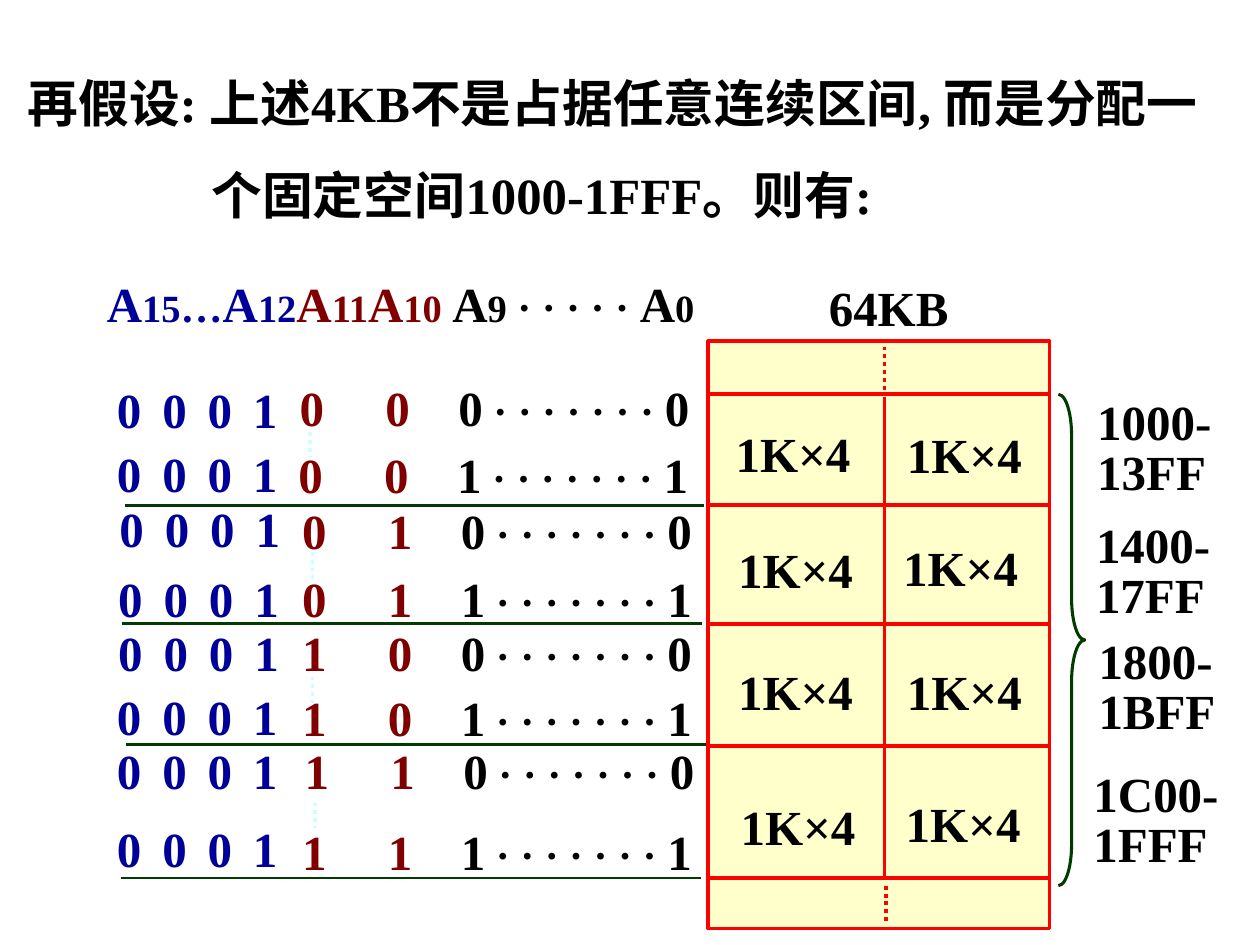
from dataclasses import dataclass
from typing import Optional

from lxml import etree
from pptx import Presentation
from pptx.dml.color import RGBColor
from pptx.enum.dml import MSO_LINE
from pptx.enum.shapes import MSO_CONNECTOR, MSO_SHAPE
from pptx.enum.text import MSO_AUTO_SIZE
from pptx.oxml.ns import qn
from pptx.util import Inches, Pt

STRAIGHT = MSO_CONNECTOR.STRAIGHT
DOTTED = MSO_LINE.ROUND_DOT
RECT = MSO_SHAPE.RECTANGLE
BRACE = MSO_SHAPE.RIGHT_BRACE
FIT = MSO_AUTO_SIZE.SHAPE_TO_FIT_TEXT

COLORS = {
    "black": "000000",
    "blue": "000099",
    "maroon": "800000",
    "red": "FF0000",
    "cream": "FFFFCC",
    "green": "003C00",
    "cyan": "CCFFFF",
}
FORMAT = {"name": "Times New Roman", "bold": True}
BIG, MID, SUB = 28, 24, 22
HIGH = 0.57
DOTS = " · · · · · · · "


@dataclass
class Run:
    text: str
    color: str = "black"
    size: float = BIG


@dataclass
class Label:
    left: float
    top: float
    width: float
    runs: list[Run]
    height: float = HIGH
    spacing: Optional[float] = None
    hang: float = 0
    tabs: tuple[float, ...] = ()


@dataclass
class Rule:
    start: tuple[float, float]
    end: tuple[float, float]
    color: str
    width: float = 2.25
    dotted: bool = False


@dataclass
class Row:
    blue: tuple[float, float]
    red: tuple[float, float]
    chip: str
    fill: str


def rgb(key: str) -> RGBColor:
    return RGBColor.from_string(COLORS[key])


def draw_label(slide, label: Label) -> None:
    box = slide.shapes.add_textbox(
        Inches(label.left), Inches(label.top), Inches(label.width), Inches(label.height)
    )
    frame = box.text_frame
    frame.word_wrap = True
    frame.auto_size = FIT
    para = frame.paragraphs[0]
    if label.spacing:
        para.line_spacing = label.spacing
    props = para._p.get_or_add_pPr()
    if label.hang:
        props.set("marL", str(Inches(label.hang)))
        props.set("indent", str(-Inches(label.hang)))
    if label.tabs:
        stops = etree.SubElement(props, qn("a:tabLst"))
        for stop in label.tabs:
            etree.SubElement(stops, qn("a:tab"), pos=str(Inches(stop)), algn="l")
    for item in label.runs:
        run = para.add_run()
        run.text = item.text
        for key, value in {**FORMAT, "size": Pt(item.size)}.items():
            setattr(run.font, key, value)
        run.font.color.rgb = rgb(item.color)


def draw_rule(slide, rule: Rule) -> None:
    ends = [Inches(value) for value in (*rule.start, *rule.end)]
    line = slide.shapes.add_connector(STRAIGHT, *ends)
    line.line.color.rgb = rgb(rule.color)
    line.line.width = Pt(rule.width)
    if rule.dotted:
        line.line.dash_style = DOTTED
    etree.SubElement(line._element.spPr, qn("a:effectLst"))


def draw_shape(slide, kind, place: tuple, color: str, width: float, fill: str = ""):
    shape = slide.shapes.add_shape(kind, *[Inches(value) for value in place])
    shape.shadow.inherit = False
    if fill:
        shape.fill.solid()
        shape.fill.fore_color.rgb = rgb(fill)
    else:
        shape.fill.background()
    shape.line.color.rgb = rgb(color)
    shape.line.width = Pt(width)
    return shape


def draw_row(slide, row: Row) -> None:
    draw_label(slide, Label(*row.blue, 1.8, [Run("0\t0\t0\t1", "blue")],
                            tabs=(0.36, 0.72, 1.08)))
    runs = [
        Run("\t".join(row.chip) + "\t", "maroon"),
        Run(row.fill),
        Run(DOTS, size=MID),
        Run(row.fill),
    ]
    draw_label(slide, Label(*row.red, 3.45, runs, tabs=(0.68, 1.26)))


TITLE = Label(
    0.12, 0.28, 9.88,
    [Run("再假设: 上述4KB不是占据任意连续区间, 而是分配一个固定空间1000-1FFF。则有:", size=29)],
    height=1.47, spacing=1.5, hang=1.46,
)
HEADER = Label(0.75, 2.12, 5.18, [
    Run("A", "blue"), Run("15", "blue", SUB), Run("…", "blue", MID),
    Run("A", "blue"), Run("12", "blue", SUB),
    Run("A", "maroon"), Run("11", "maroon", SUB),
    Run("A", "maroon"), Run("10", "maroon", SUB), Run(" ", "maroon", MID),
    Run("A"), Run("9", size=SUB), Run(" · · · · · ", size=MID),
    Run("A"), Run("0", size=SUB),
])
SPACE = Label(6.48, 2.15, 1.46, [Run("64KB")])

ROWS = [
    Row((0.83, 2.96), (2.28, 2.95), "00", "0"),
    Row((0.83, 3.47), (2.27, 3.48), "00", "1"),
    Row((0.85, 3.91), (2.3, 3.92), "01", "0"),
    Row((0.84, 4.46), (2.3, 4.46), "01", "1"),
    Row((0.84, 4.89), (2.3, 4.89), "10", "0"),
    Row((0.83, 5.4), (2.3, 5.41), "10", "1"),
    Row((0.83, 5.83), (2.32, 5.83), "11", "0"),
    Row((0.83, 6.45), (2.3, 6.47), "11", "1"),
]
CELLS = [
    (5.74, 3.31), (7.1, 3.32), (5.76, 4.23), (7.07, 4.22),
    (5.76, 5.2), (7.1, 5.2), (5.78, 6.27), (7.09, 6.25),
]
SPANS = [
    (8.61, 3.13, "1000- 13FF"), (8.6, 4.11, "1400- 17FF"),
    (8.62, 5.03, "1800- 1BFF"), (8.58, 6.08, "1C00- 1FFF"),
]
LEVELS = [3.13, 4.01, 4.95, 5.92, 6.97]
EDGES = [(0.99, 4.01), (0.97, 4.95), (1, 5.91), (0.96, 6.97)]
LINKS = [(2.46, 3.43, 3.63), (2.48, 4.38, 4.61), (2.48, 5.37, 5.58), (2.5, 6.37, 6.57)]
GAPS = [(7.02, 2.75, 3.1), (7.03, 7.03, 7.33)]


def main() -> None:
    deck = Presentation()
    deck.slide_width, deck.slide_height = Inches(10), Inches(7.5)
    slide = deck.slides.add_slide(deck.slide_layouts[6])

    draw_shape(slide, RECT, (5.62, 2.71, 2.71, 4.66), "red", 2.25, "cream")
    brace = draw_shape(slide, BRACE, (8.4, 3.13, 0.21, 3.9), "green", 1.75)
    brace.adjustments[0], brace.adjustments[1] = 1.56, 0.5

    rules = [Rule((5.62, y), (8.33, y), "red") for y in LEVELS]
    rules.append(Rule((7.02, 3.15), (7.02, 6.96), "red"))
    rules += [Rule((x, top), (x, end), "red", dotted=True) for x, top, end in GAPS]
    rules += [Rule((x, top), (x, end), "cyan", dotted=True) for x, top, end in LINKS]
    rules += [Rule((x + 4.6, y), (x, y), "green", 1.5) for x, y in EDGES]
    for rule in rules:
        draw_rule(slide, rule)

    labels = [TITLE, HEADER, SPACE]
    labels += [Label(x, y, 1.33, [Run("1K×4")]) for x, y in CELLS]
    labels += [Label(x, y, 1.35, [Run(text)], 0.9, 0.85) for x, y, text in SPANS]
    for label in labels:
        draw_label(slide, label)
    for row in ROWS:
        draw_row(slide, row)

    deck.save("out.pptx")


if __name__ == "__main__":
    main()
